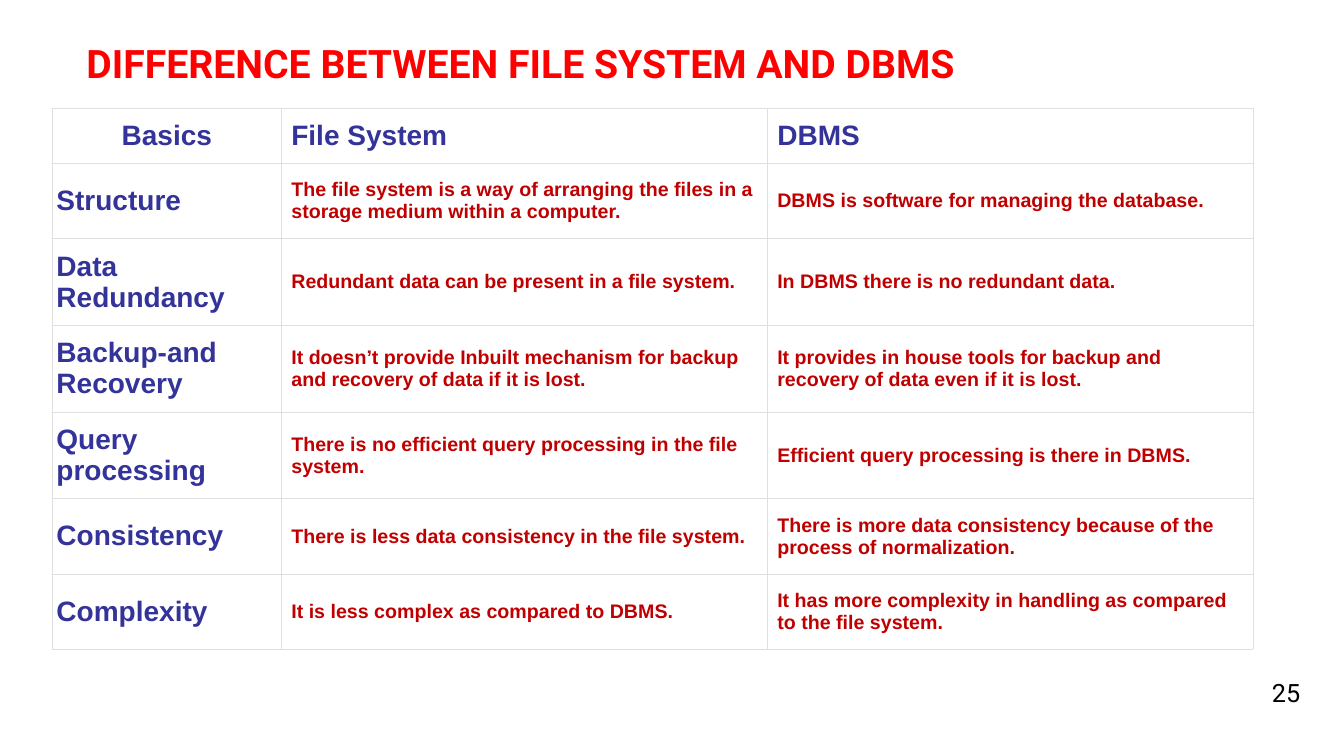
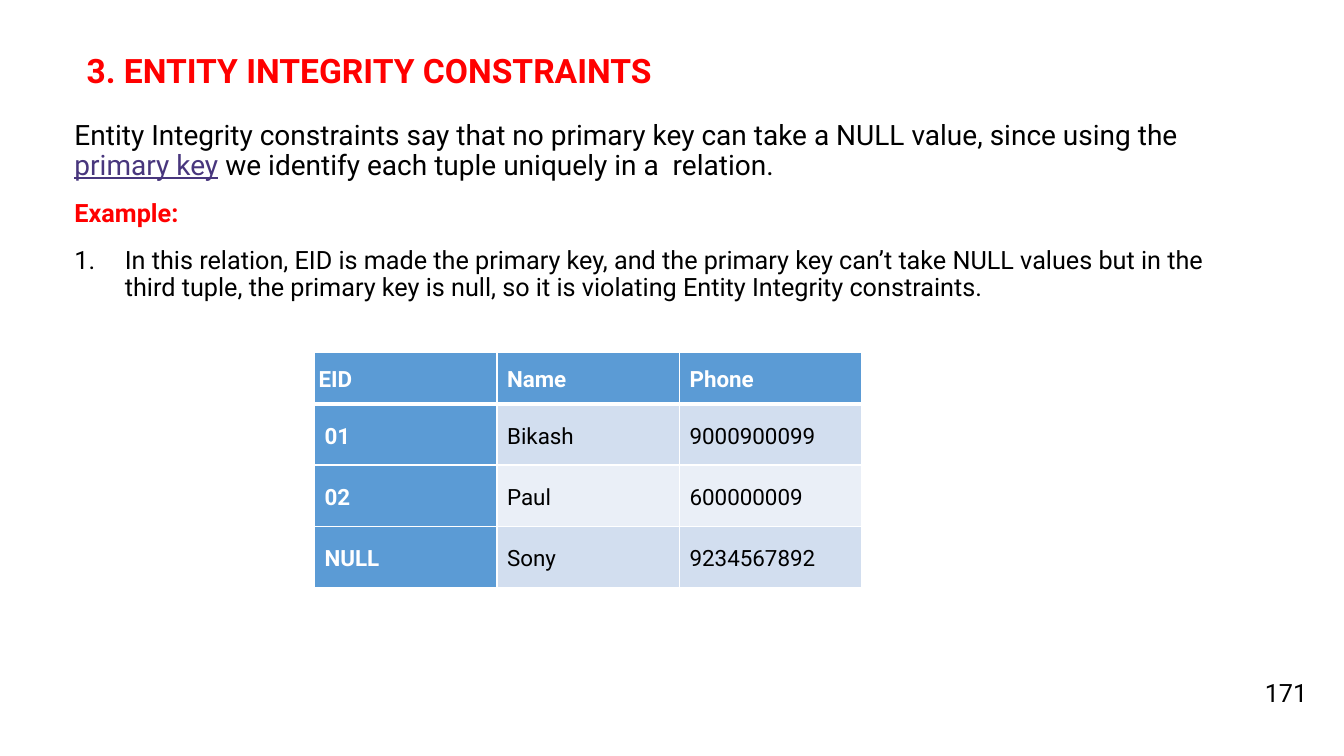
import pptx
import pptx.dml.color
import pptx.enum.text
import pptx.oxml.ns
import pptx.util
from lxml import etree

Inches = pptx.util.Inches
Pt = pptx.util.Pt
ANCHOR = pptx.enum.text.MSO_ANCHOR
ALIGN = pptx.enum.text.PP_ALIGN

# Shared style
WHITE, BLACK, RED = "FFFFFF", "000000", "FF0000"
NAVY, CRIMSON, LINK = "333399", "C00000", "48367D"
BLUE, BAND_DARK, BAND_LIGHT, GRID = "5B9BD5", "D2DEEF", "EAEFF7", "DFDFDF"
SANS, GRID_FONT = "Roboto", "Arial"

# Slide content
COMPARISON = [
    ("Basics", "File System", "DBMS"),
    ("Structure",
     "The file system is a way of arranging the files in a storage medium within a computer.",
     "DBMS is software for managing the database."),
    ("Data Redundancy",
     "Redundant data can be present in a file system.",
     "In DBMS there is no redundant data."),
    ("Backup-and Recovery",
     "It doesn’t provide Inbuilt mechanism for backup and recovery of data if it is lost.",
     "It provides in house tools for backup and recovery of data even if it is lost."),
    ("Query processing",
     "There is no efficient query processing in the file system.",
     "Efficient query processing is there in DBMS."),
    ("Consistency",
     "There is less data consistency in the file system.",
     "There is more data consistency because of the process of normalization."),
    ("Complexity",
     "It is less complex as compared to DBMS.",
     "It has more complexity in handling as compared to the file system."),
]
COMPARISON_HEIGHTS = [0.55, 0.73, 0.86, 0.86, 0.86, 0.73, 0.73]

# Paragraphs: size, numbered, spans of (text, colour, bold, underline)
EXPLANATION = [
    (20, False, [
        ("Entity Integrity constraints say that no primary key can take a NULL value, "
         "since using the ", BLACK, False, False),
        ("primary key", LINK, False, True),
        (" we identify each tuple uniquely in a  relation.", BLACK, False, False)]),
    (18, False, [("Example:", RED, True, False)]),
    (18, True, [
        ("In this relation, EID is made the primary key, and the primary key can’t take "
         "NULL values but in the third tuple, the primary key is null, so it is violating "
         "Entity Integrity constraints.", BLACK, False, False)]),
]
EMPLOYEES = [
    ("EID", "Name", "Phone"),
    ("01", "Bikash", "9000900099"),
    ("02", "Paul", "600000009"),
    ("NULL", "Sony", "9234567892"),
]


def rgb(value):
    return pptx.dml.color.RGBColor.from_string(value)


def style(span, size, color, bold=False, underline=False, font=SANS):
    span.font.name = font
    span.font.size = Pt(size)
    span.font.bold = bold
    span.font.underline = underline
    span.font.color.rgb = rgb(color)


def add_box(page, left, top, width, height, anchor=ANCHOR.TOP):
    box = page.shapes.add_textbox(Inches(left), Inches(top), Inches(width), Inches(height))
    box.text_frame.word_wrap = True
    box.text_frame.vertical_anchor = anchor
    return box.text_frame


def add_page(deck, title, title_size, title_top, title_width, number):
    page = deck.slides.add_slide(deck.slide_layouts[6])
    frame = add_box(page, 0.76, title_top, title_width, 0.8)
    frame.text = title
    frame.paragraphs[0].line_spacing = 0.9
    style(frame.paragraphs[0].runs[0], title_size, RED, bold=True)

    frame = add_box(page, 12.43, 6.67, 0.65, 0.4, ANCHOR.MIDDLE)
    frame.text = number
    frame.paragraphs[0].alignment = ALIGN.CENTER
    style(frame.paragraphs[0].runs[0], 18, BLACK)
    return page


def add_grid(page, left, top, widths, heights):
    table = page.shapes.add_table(
        len(heights), len(widths), Inches(left), Inches(top),
        Inches(sum(widths)), Inches(sum(heights))).table
    table.first_row = table.horz_banding = False
    for column, width in zip(table.columns, widths):
        column.width = Inches(width)
    for row, height in zip(table.rows, heights):
        row.height = Inches(height)
    return table


def fill_cell(cell, text, fill, borders, inset_x, inset_y):
    """Borders map a side (L, R, T, B) to (colour, points)."""
    properties = cell._tc.get_or_add_tcPr()
    for side, (color, points) in borders.items():
        line = etree.SubElement(properties, pptx.oxml.ns.qn("a:ln" + side), w=str(Pt(points)))
        solid = etree.SubElement(line, pptx.oxml.ns.qn("a:solidFill"))
        etree.SubElement(solid, pptx.oxml.ns.qn("a:srgbClr"), val=color)
    cell.fill.solid()
    cell.fill.fore_color.rgb = rgb(fill)
    cell.margin_left = cell.margin_right = Inches(inset_x)
    cell.margin_top = cell.margin_bottom = Inches(inset_y)
    cell.vertical_anchor = ANCHOR.MIDDLE
    cell.text_frame.text = text
    return cell.text_frame.paragraphs[0]


def number_paragraph(para):
    properties = para._p.get_or_add_pPr()
    properties.set("marL", str(Inches(0.5)))
    properties.set("indent", str(-Inches(0.5)))
    etree.SubElement(properties, pptx.oxml.ns.qn("a:buFont"), typeface="+mj-lt")
    etree.SubElement(properties, pptx.oxml.ns.qn("a:buAutoNum"), type="arabicPeriod")


def build_comparison(deck):
    page = add_page(deck, "DIFFERENCE BETWEEN FILE SYSTEM AND DBMS", 28, 0.39, 10, "25")
    table = add_grid(page, 0.52, 1.07, [2.27, 4.82, 4.82], COMPARISON_HEIGHTS)
    borders = dict.fromkeys("LRTB", (GRID, 0.23))
    for r, row in enumerate(COMPARISON):
        for c, text in enumerate(row):
            heading = r == 0 or c == 0
            inset_x = 0.04 if c == 0 else 0.1
            inset_y = 0.1 if r == 0 else 0.07 if c == 0 else 0.14
            para = fill_cell(table.cell(r, c), text, WHITE, borders, inset_x, inset_y)
            if r == c == 0:
                para.alignment = ALIGN.CENTER
            size, color = (20, NAVY) if heading else (14, CRIMSON)
            style(para.runs[0], size, color, bold=True, font=GRID_FONT)


def build_constraints(deck):
    page = add_page(deck, "3. ENTITY INTEGRITY CONSTRAINTS", 24, 0.49, 6.79, "171")

    # Explanation
    frame = add_box(page, 0.64, 1.15, 11.81, 2.2)
    for index, (size, numbered, spans) in enumerate(EXPLANATION):
        para = frame.add_paragraph() if index else frame.paragraphs[0]
        if numbered:
            number_paragraph(para)
        para.line_spacing = 0.9
        para.space_after = Pt(14)
        for text, color, bold, underline in spans:
            span = para.add_run()
            span.text = text
            style(span, size, color, bold, underline)

    # Example relation
    table = add_grid(page, 3.12, 3.5, [1.81] * 3, [0.5] + [0.58] * 3)
    for r, row in enumerate(EMPLOYEES):
        for c, text in enumerate(row):
            heading = r == 0 or c == 0
            fill = BLUE if heading else BAND_DARK if r % 2 else BAND_LIGHT
            borders = dict.fromkeys("LRTB", (WHITE, 1))
            if r == 0:
                borders["B"] = (WHITE, 3)
            elif r == 1:
                borders["T"] = (WHITE, 3)
            para = fill_cell(table.cell(r, c), text, fill, borders,
                             0.04 if r == c == 0 else 0.1, 0.1 if r == 0 else 0.15)
            para.line_spacing = 1.15
            para.space_after = Pt(8)
            style(para.runs[0], 16, WHITE if heading else BLACK, bold=heading)


def main():
    deck = pptx.Presentation()
    deck.slide_width = Inches(13.33)
    deck.slide_height = Inches(7.5)
    build_comparison(deck)
    build_constraints(deck)
    deck.save("out.pptx")


if __name__ == "__main__":
    main()
